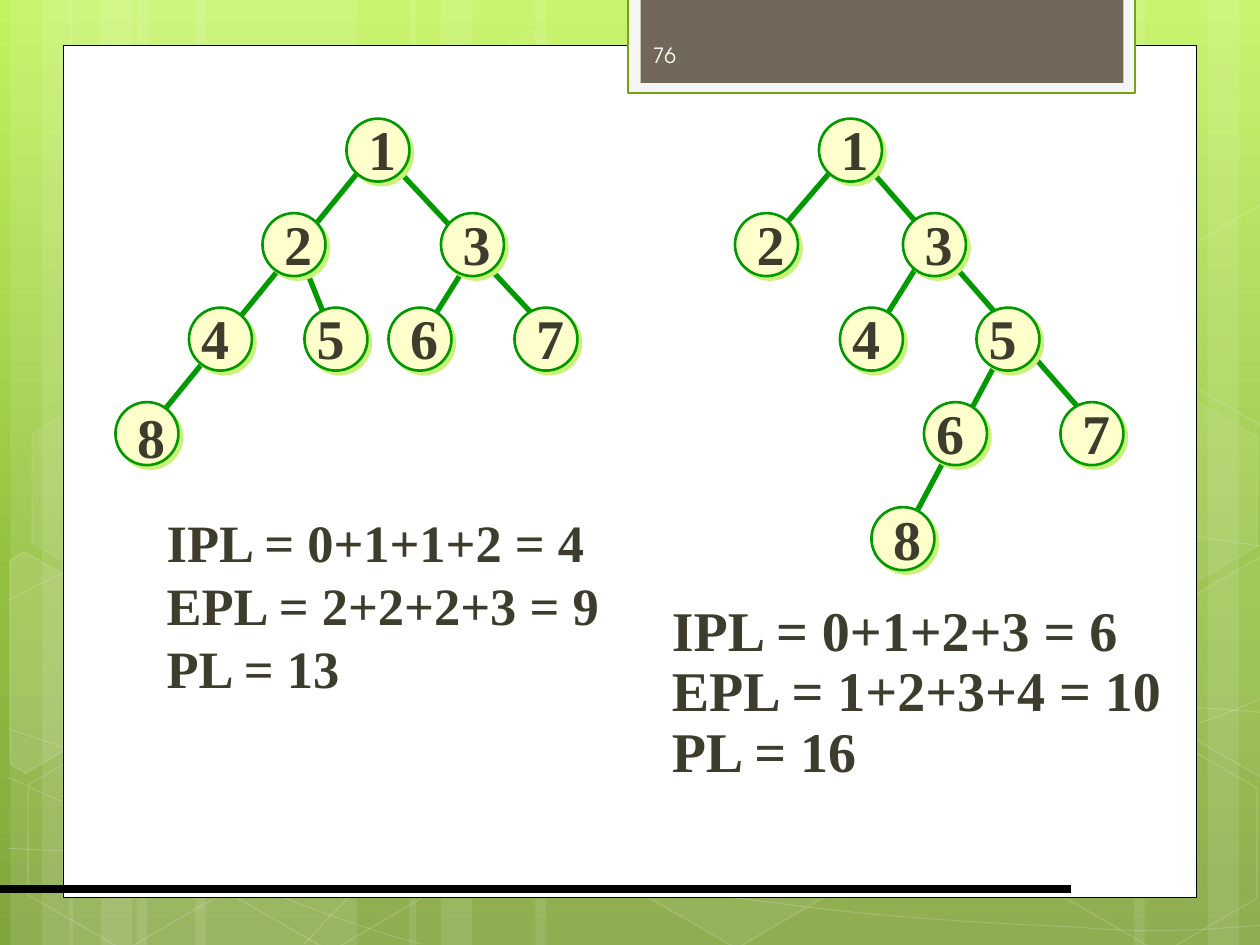
from copy import deepcopy
from dataclasses import dataclass

from lxml import etree
from pptx import Presentation
from pptx import util as u
from pptx.dml.color import RGBColor
from pptx.enum import shapes, text
from pptx.oxml.ns import qn

PX = 7620
WIDTH, HEIGHT = 1200, 900


@dataclass(frozen=True)
class Theme:
    sky = ((0, "C3F35F"), (0.62, "93BF3F"), (1, "81A53E"))
    white = "FFFFFF"
    black = "000000"
    tab_frame = "F5F5F5"
    tab_edge = "74A510"
    tab = "71685A"
    number = "FEFEFE"
    ink = "3E3D2D"
    node = "FFFFCC"
    branch = "009900"
    shadow = "CAF278"
    serif = "Times New Roman"
    sans = "TeX Gyre Adventor"
    number_size = 12
    left_size = 30
    label_size = right_size = 32


THEME = Theme()
BANDS = ((130, 210, 0), (10, 60, 0), (40, 100, 0), (186, 210, 0), (66, 60, 0), (96, 100, 0),
         (880, 210, 180), (1150, 60, 180), (1080, 100, 180),
         (510, 370, 0), (390, 60, 0), (420, 100, 0))
CURVES = (
    ((8, 808), (73, 811), (138, 815), (228, 814), (318, 812), (430, 810), (550, 798),
     (670, 786), (840, 763), (950, 740), (1060, 718), (1172, 682), (1208, 661)),
    ((8, 572), (43, 553), (78, 535), (145, 517), (214, 499), (311, 473), (416, 464),
     (523, 456), (653, 455), (785, 464), (917, 474), (1136, 511), (1208, 521)),
    ((7, 740), (152, 806), (296, 872), (401, 899)),
    ((8, 694), (46, 707), (84, 720), (154, 739), (223, 757), (328, 787), (428, 808),
     (528, 828), (654, 850), (754, 862), (853, 875), (960, 880), (1024, 883),
     (1086, 888), (1103, 886), (1134, 886), (1165, 884), (1187, 882), (1208, 881)),
    ((290, 899), (312, 875), (334, 851), (362, 829), (391, 808), (432, 784), (466, 767),
     (500, 750), (520, 743), (564, 731), (607, 719), (688, 702), (730, 694),
     (773, 685), (779, 685), (816, 683), (852, 679), (912, 676), (953, 674),
     (995, 673), (1063, 674), (1063, 674), (1090, 674), (1117, 674), (1144, 674),
     (1165, 676), (1186, 677), (1196, 678), (1207, 679), (1204, 678), (1207, 679)),
)
HEXAGONS = ((401, 43, 4, 8), (596, 707, 6, 12), (13, 709, 0, 12), (17, 374, 7, 8),
            (209, 710, 0, 12), (904, 544, 10, 12), (1001, 712, 0, 12), (1001, 377, 7, 8))
LEFT_CUT = ((0, 14), (8, 0), (113, 0), (166, 92), (114, 182), (97, 182))
RIGHT_CUT = ((0, 90), (51, 0), (63, 0), (163, 174), (157, 182), (52, 182))
CUT_HEXAGONS = ((-40, 551, LEFT_CUT, 10), (1100, 533, RIGHT_CUT, 4), (1100, 198, RIGHT_CUT, 0))

LEFT_NODES = (("1", 220, 0, -1, -10), ("2", 140, 90, -1, -9), ("3", 310, 90, -1, -9),
              ("4", 70, 180, -10, -10), ("5", 180, 180, -10, -10),
              ("6", 260, 180, -1, -10), ("7", 380, 180, -1, -10), ("8", 0, 270, -1, -6))
LEFT_BRANCHES = ((340, 130, 290, 210), (180, 140, 200, 190),
                 (270, 50, 410, 200), (240, 40, 20, 310))
RIGHT_NODES = (("1", 80, 0, -1, -10), ("2", 0, 90, -1, -9), ("3", 160, 90, -1, -9),
               ("4", 100, 180, -10, -10), ("5", 230, 180, -10, -10),
               ("6", 180, 270, -10, -9), ("7", 310, 270, -1, -9), ("8", 130, 370, -1, -9))
RIGHT_BRANCHES = ((180, 130, 130, 210), (250, 230, 170, 380),
                  (130, 50, 340, 290), (100, 40, 40, 110))


def emu(*lengths):
    return [round(length * PX) for length in lengths]


def set_alpha(shape, query, percent):
    if percent < 100:
        for color in shape.element.xpath(query):
            etree.SubElement(color, qn("a:alpha")).set("val", str(percent * 1000))


def paint(shape, fill=None, edge=None, weight=1, fill_alpha=100, edge_alpha=100):
    shape.shadow.inherit = False
    if fill:
        shape.fill.solid()
        shape.fill.fore_color.rgb = RGBColor.from_string(fill)
        set_alpha(shape, "./p:spPr/a:solidFill/a:srgbClr", fill_alpha)
    else:
        shape.fill.background()
    if edge:
        shape.line.width = u.Pt(weight)
        shape.line.color.rgb = RGBColor.from_string(edge)
        set_alpha(shape, "./p:spPr/a:ln/a:solidFill/a:srgbClr", edge_alpha)
    else:
        shape.line.fill.background()
    return shape


def add_preset(slide, preset, box, **look):
    return paint(slide.shapes.add_shape(preset, *emu(*box)), **look)


def add_outline(slide, points, close, **look):
    builder = slide.shapes.build_freeform(*points[0], scale=PX)
    builder.add_line_segments(points[1:], close=close)
    return paint(builder.convert_to_shape(), **look)


def add_curve(slide, knots, **look):
    curve = add_outline(slide, knots, False, **look)
    segments = curve.element.xpath(".//a:lnTo")
    for first, second, end in zip(*[iter(segments)] * 3):
        bezier = etree.Element(qn("a:cubicBezTo"))
        first.addprevious(bezier)
        for segment in (first, second, end):
            bezier.append(segment[0])
            segment.getparent().remove(segment)


def add_line(slide, ends, color, weight):
    line = slide.shapes.add_connector(shapes.MSO_CONNECTOR.STRAIGHT, *emu(*ends))
    line.line.color.rgb = RGBColor.from_string(color)
    line.line.width = u.Pt(weight)
    etree.SubElement(line.element.spPr, qn("a:effectLst"))


def add_text(slide, box, wording, size, color, font, bold=True, align=None,
             spacing=None, wrap=True):
    frame = slide.shapes.add_textbox(*emu(*box)).text_frame
    frame.word_wrap = wrap
    frame.vertical_anchor = text.MSO_ANCHOR.MIDDLE
    frame.text = wording
    for paragraph in frame.paragraphs:
        paragraph.alignment = align
        paragraph.line_spacing = spacing
        for run in paragraph.runs:
            run.font.size = u.Pt(size)
            run.font.bold = bold
            run.font.name = font
            run.font.color.rgb = RGBColor.from_string(color)


def draw_sky(slide):
    fill = slide.background.fill
    fill.gradient()
    fill.gradient_angle = 270
    first = slide.element.xpath(".//p:bg//a:gs")[0]
    first.addnext(deepcopy(first))
    for stop, (position, color) in zip(fill.gradient_stops, THEME.sky):
        stop.position = position
        stop.color.rgb = RGBColor.from_string(color)


def draw_backdrop(slide):
    white = THEME.white
    for left, width, turn in BANDS:
        band = add_preset(slide, shapes.MSO_SHAPE.RECTANGLE, (left, 0, width, HEIGHT),
                          fill=white, fill_alpha=10)
        band.rotation = turn
    for knots in CURVES:
        add_curve(slide, knots, edge=white, weight=0.5, edge_alpha=20)
    for left, top, fill_alpha, edge_alpha in HEXAGONS:
        hexagon = add_preset(slide, shapes.MSO_SHAPE.HEXAGON, (left, top, 210, 182),
                             fill=white if fill_alpha else None, edge=white,
                             fill_alpha=fill_alpha, edge_alpha=edge_alpha)
        hexagon.adjustments[0] = 0.285
        hexagon.rotation = 30
    for left, top, corners, fill_alpha in CUT_HEXAGONS:
        points = [(left + x, top + y) for x, y in corners]
        cut = add_outline(slide, points, True, fill=white if fill_alpha else None,
                          edge=white, fill_alpha=fill_alpha, edge_alpha=12)
        cut.rotation = 30


def draw_panel(slide, left, top, width, height):
    add_preset(slide, shapes.MSO_SHAPE.RECTANGLE, (left, top, width, height),
               fill=THEME.white, edge=THEME.black, weight=0.5)
    add_line(slide, (0, top + 804, 1020, top + 804), THEME.black, 4.5)


def draw_number_tab(slide, left, top, width, height):
    rectangle = shapes.MSO_SHAPE.RECTANGLE
    add_preset(slide, rectangle, (left, top, width, height),
               fill=THEME.tab_frame, edge=THEME.tab_edge, weight=1.25)
    add_preset(slide, rectangle, (left + 12, top, width - 23, height - 10), fill=THEME.tab)
    add_text(slide, (left + 12, top + 31, 175, 48), "76", THEME.number_size,
             THEME.number, THEME.sans, bold=False)


def draw_tree(slide, left, top, nodes, branches):
    for x1, y1, x2, y2 in branches:
        add_line(slide, (left + x1, top + y1, left + x2, top + y2), THEME.branch, 3)
    for _, x, y, _, _ in nodes:
        node = add_preset(slide, shapes.MSO_SHAPE.OVAL, (left + x, top + y, 60, 60),
                          fill=THEME.node, edge=THEME.branch, weight=1.5)
        effects = node.element.spPr.find(qn("a:effectLst"))
        shadow = etree.SubElement(effects, qn("a:outerShdw"), dist="35560", dir="2700000",
                                  algn="ctr", rotWithShape="0")
        etree.SubElement(shadow, qn("a:srgbClr"), val=THEME.shadow)
    for label, x, y, dx, dy in nodes:
        add_text(slide, (left + x + dx, top + y + dy, 70, 76), label, THEME.label_size,
                 THEME.ink, THEME.serif, align=text.PP_ALIGN.CENTER)


def main():
    deck = Presentation()
    deck.slide_width, deck.slide_height = emu(WIDTH, HEIGHT)
    slide = deck.slides.add_slide(deck.slide_layouts[6])
    draw_sky(slide)
    draw_backdrop(slide)
    draw_panel(slide, 60, 43, 1080, 812)
    draw_number_tab(slide, 598, -2, 483, 91)
    draw_tree(slide, 110, 113, LEFT_NODES, LEFT_BRANCHES)
    draw_tree(slide, 700, 113, RIGHT_NODES, RIGHT_BRANCHES)
    add_text(slide, (147, 480, 439, 192), "IPL = 0+1+1+2 = 4\nEPL = 2+2+2+3 = 9\nPL = 13",
             THEME.left_size, THEME.ink, THEME.serif, wrap=False)
    add_text(slide, (628, 568, 493, 185), "IPL = 0+1+2+3 = 6\nEPL = 1+2+3+4 = 10\nPL = 16",
             THEME.right_size, THEME.ink, THEME.serif, spacing=0.9, wrap=False)
    deck.save("out.pptx")


if __name__ == "__main__":
    main()
